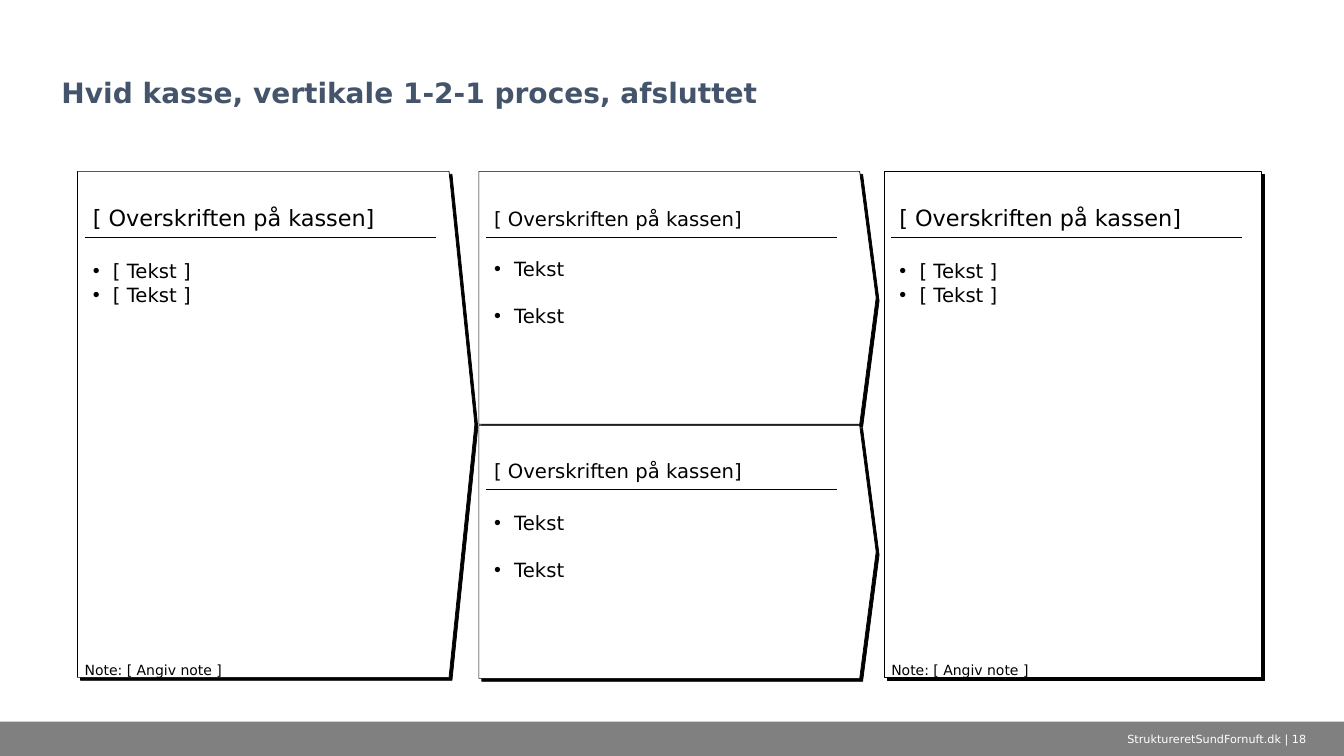
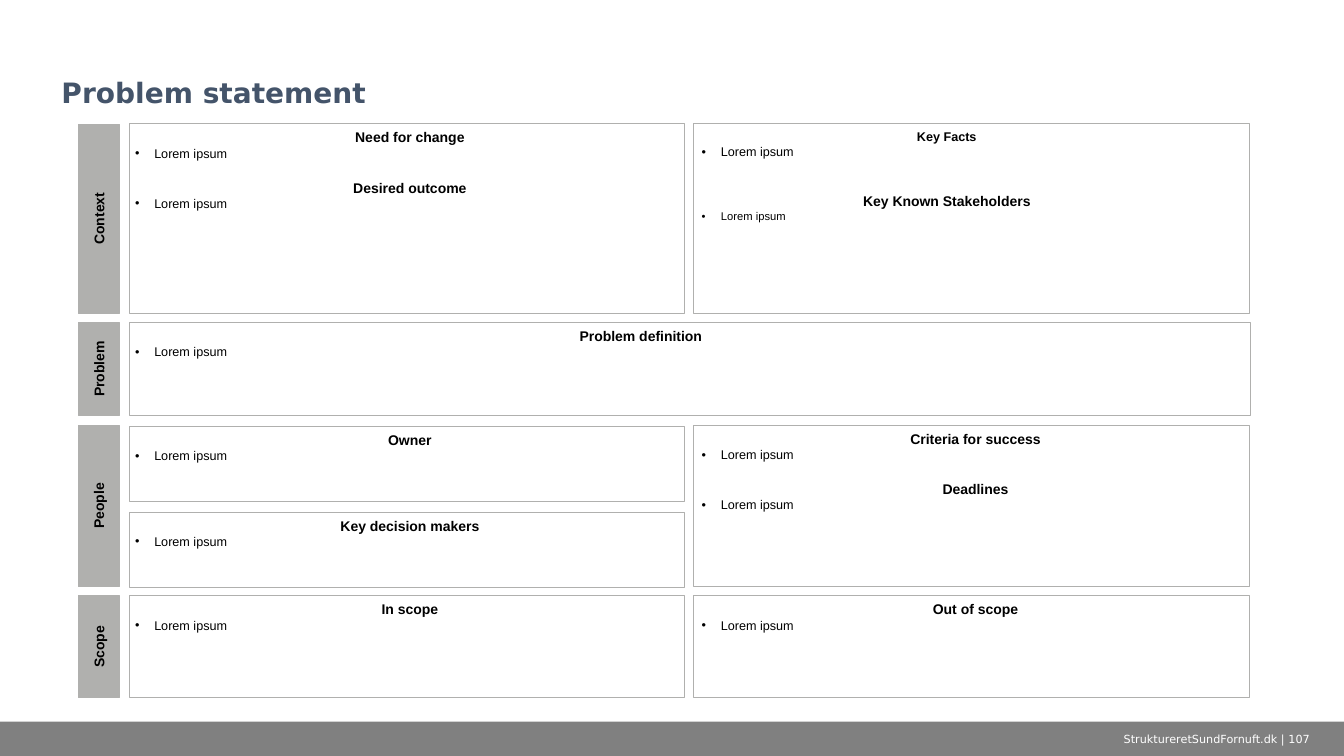
from lxml.etree import SubElement
from pptx import Presentation
from pptx.dml.color import RGBColor
from pptx.enum.shapes import MSO_CONNECTOR, MSO_SHAPE
from pptx.enum.text import MSO_ANCHOR, MSO_AUTO_SIZE, PP_ALIGN
from pptx.oxml.ns import qn
from pptx.util import Inches, Pt

# Shared colours and fonts
WHITE = RGBColor(0xFF, 0xFF, 0xFF)
BLACK = RGBColor(0x00, 0x00, 0x00)
TITLE_BLUE = RGBColor(0x44, 0x54, 0x6A)
BAND_GREY = RGBColor(0x80, 0x80, 0x80)
PANEL_GREY = RGBColor(0xB0, 0xB0, 0xAE)
MAIN_FONT = "DejaVu Sans"
PANEL_FONT = "Arial"

TITLE_ONLY = 5
FOOTER = "StruktureretSundFornuft.dk | "
HEADING = "[ Overskriften på kassen]"
NOTE = "Note: [ Angiv note ]"
TALL_ITEMS = ["[ Tekst ]", "[ Tekst ]"]
SHORT_ITEMS = ["Tekst", "Tekst"]
LOREM = "Lorem ipsum"

# Process boxes: left, top, width, height, point, rule top, text top, items, note
PROCESS_BOXES = [
    (8.77, 1.70, 3.74, 5.02, 0, 2.35, 2.51, TALL_ITEMS, NOTE),
    (4.75, 1.70, 3.94, 2.51, 0.065, 2.35, 2.49, SHORT_ITEMS, None),
    (4.75, 4.22, 3.94, 2.51, 0.065, 4.85, 5.01, SHORT_ITEMS, None),
    (0.77, 1.70, 3.94, 5.02, 0.065, 2.35, 2.51, TALL_ITEMS, NOTE),
]

# Problem statement grid
LEFT_COLUMN, RIGHT_COLUMN = 1.28, 6.88
COLUMN_WIDTH, FULL_WIDTH = 5.51, 11.12
ROWS = {
    "Context": (1.23, 1.88),
    "Problem": (3.20, 0.92),
    "People": (4.22, 1.60),
    "Scope": (5.91, 1.01),
}
HALF_HEIGHT, HALF_GAP = 0.75, 0.10


def style_runs(para, size, font, colour=BLACK, bold=False):
    for run in para.runs:
        run.font.size = Pt(size)
        run.font.name = font
        run.font.bold = bold
        run.font.color.rgb = colour


def add_bullet(para, indent):
    properties = para._p.get_or_add_pPr()
    properties.set("marL", str(Inches(indent)))
    properties.set("indent", str(-Inches(indent)))
    SubElement(properties, qn("a:buFont")).set("typeface", "Arial")
    SubElement(properties, qn("a:buChar")).set("char", "•")


def set_frame(frame, anchor, insets):
    frame.word_wrap = True
    frame.auto_size = MSO_AUTO_SIZE.NONE
    frame.vertical_anchor = anchor
    (frame.margin_left, frame.margin_top,
     frame.margin_right, frame.margin_bottom) = map(Inches, insets)


def add_text(page, area, text, size, colour=BLACK, anchor=MSO_ANCHOR.TOP,
             insets=(0.08, 0.06, 0.08, 0.06), align=PP_ALIGN.LEFT):
    """Add a text box; line breaks in the text make paragraphs."""
    box = page.shapes.add_textbox(*map(Inches, area))
    set_frame(box.text_frame, anchor, insets)
    box.text_frame.text = text
    for para in box.text_frame.paragraphs:
        para.alignment = align
        style_runs(para, size, MAIN_FONT, colour)
    return box


def add_box(page, kind, area, fill=None, line=None, line_width=0.75):
    box = page.shapes.add_shape(kind, *map(Inches, area))
    box.shadow.inherit = False
    if fill is None:
        box.fill.background()
    else:
        box.fill.solid()
        box.fill.fore_color.rgb = fill
    if line is None:
        box.line.fill.background()
    else:
        box.line.color.rgb = line
        box.line.width = Pt(line_width)
    return box


def add_hard_shadow(box):
    effects = box.element.spPr.find(qn("a:effectLst"))
    shadow = SubElement(effects, qn("a:outerShdw"), blurRad="0",
                        dist=str(Pt(3)), dir="2700000", algn="tl",
                        rotWithShape="0")
    SubElement(shadow, qn("a:srgbClr"), val=str(BLACK))


def add_rule(page, left, top, width):
    rule = page.shapes.add_connector(
        MSO_CONNECTOR.STRAIGHT, Inches(left), Inches(top),
        Inches(left + width), Inches(top))
    rule.line.color.rgb = BLACK
    rule.line.width = Pt(0.5)
    SubElement(rule.element.spPr, qn("a:effectLst"))


def add_page(deck, title, number):
    """Add a page with the shared title and footer."""
    page = deck.slides.add_slide(deck.slide_layouts[TITLE_ONLY])
    heading = page.shapes.title
    heading.left, heading.top = Inches(0.51), Inches(0.17)
    heading.width, heading.height = Inches(12.31), Inches(0.97)
    set_frame(heading.text_frame, MSO_ANCHOR.BOTTOM, (0.1, 0.05, 0.1, 0.05))
    heading.text_frame.text = title
    para = heading.text_frame.paragraphs[0]
    para.alignment = PP_ALIGN.LEFT
    para.line_spacing = 0.9
    style_runs(para, 20, MAIN_FONT, TITLE_BLUE, bold=True)
    add_text(page, (10.81, 7.16, 2.52, 0.34), f"{FOOTER}{number}", 8, WHITE,
             MSO_ANCHOR.MIDDLE, (0.1, 0.05, 0.1, 0.05), PP_ALIGN.CENTER)
    return page


def add_master_band(deck, page):
    """Draw the footer band and move it to the back of the slide master."""
    band = add_box(page, MSO_SHAPE.RECTANGLE, (0, 7.16, 13.33, 0.35), BAND_GREY)
    deck.slide_master.shapes.element.insert(2, band.element)


def add_process_box(page, left, top, width, height, point, rule_top, text_top,
                    items, note):
    box = add_box(page, MSO_SHAPE.PENTAGON, (left, top, width, height),
                  WHITE, BLACK, 0.5)
    box.adjustments[0] = point
    add_hard_shadow(box)

    inner_left, inner_width = left + 0.07, 3.48
    add_rule(page, inner_left, rule_top, inner_width)
    add_text(page, (inner_left, top, inner_width, rule_top - top), HEADING,
             16 if note else 14, anchor=MSO_ANCHOR.BOTTOM)

    bottom = top + height
    body = add_text(page, (inner_left, text_top, inner_width,
                           bottom - 0.17 - text_top), "\n".join(items), 14)
    for index, para in enumerate(body.text_frame.paragraphs):
        add_bullet(para, 0.2)
        if index and not note:
            para.space_before = Pt(17)
    if note:
        add_text(page, (inner_left, bottom - 0.16, 3.52, 0.17), note, 10,
                 insets=(0, 0, 0, 0))


def add_row_label(page, text, top, height):
    centre, thickness = 0.98, 0.41
    label = add_box(page, MSO_SHAPE.RECTANGLE,
                    (centre - height / 2, top + (height - thickness) / 2,
                     height, thickness), PANEL_GREY, PANEL_GREY)
    label.rotation = 270
    set_frame(label.text_frame, MSO_ANCHOR.TOP, (0.12, 0.12, 0.12, 0.12))
    label.text_frame.text = text
    para = label.text_frame.paragraphs[0]
    para.alignment = PP_ALIGN.CENTER
    style_runs(para, 10, PANEL_FONT, bold=True)


def add_panel(page, area, sections, right_inset=0, gap=13):
    """Add a framed panel; a section is heading, heading size, text size."""
    panel = add_box(page, MSO_SHAPE.RECTANGLE, area, line=PANEL_GREY)
    frame = panel.text_frame
    left_inset = 0.08 if area[0] == RIGHT_COLUMN else 0.06
    set_frame(frame, MSO_ANCHOR.TOP, (left_inset, 0.05, right_inset, 0))
    frame.text = "\n".join(f"{heading}\n{LOREM}" for heading, _, _ in sections)
    paras = frame.paragraphs
    for index, (_, heading_size, text_size) in enumerate(sections):
        heading, item = paras[2 * index:2 * index + 2]
        heading.alignment = PP_ALIGN.CENTER
        if index:
            heading.space_before = Pt(gap)
        style_runs(heading, heading_size, PANEL_FONT, bold=True)
        item.alignment = PP_ALIGN.LEFT
        add_bullet(item, 0.19)
        style_runs(item, text_size, PANEL_FONT)


def build_process(page):
    for box in PROCESS_BOXES:
        add_process_box(page, *box)


def build_problem_statement(page):
    for text, (top, height) in ROWS.items():
        add_row_label(page, text, top, height)

    def cell(row, left, width=COLUMN_WIDTH):
        top, height = ROWS[row]
        return left, top, width, height

    # Context and problem
    add_panel(page, cell("Context", LEFT_COLUMN),
              [("Need for change", 10, 9), ("Desired outcome", 10, 9)])
    add_panel(page, cell("Context", RIGHT_COLUMN),
              [("Key Facts", 9, 9), ("Key Known Stakeholders", 10, 8)],
              right_inset=0.57, gap=24)
    add_panel(page, cell("Problem", LEFT_COLUMN, FULL_WIDTH),
              [("Problem definition", 10, 9)], right_inset=1.03)

    # People: two half panels beside a full one
    for index, heading in enumerate(["Owner", "Key decision makers"]):
        top = ROWS["People"][0] + 0.01 + index * (HALF_HEIGHT + HALF_GAP)
        add_panel(page, (LEFT_COLUMN, top, COLUMN_WIDTH, HALF_HEIGHT),
                  [(heading, 10, 9)])
    add_panel(page, cell("People", RIGHT_COLUMN),
              [("Criteria for success", 10, 9), ("Deadlines", 10, 9)])

    # Scope
    add_panel(page, cell("Scope", LEFT_COLUMN), [("In scope", 10, 9)])
    add_panel(page, cell("Scope", RIGHT_COLUMN), [("Out of scope", 10, 9)])


def main():
    deck = Presentation()
    deck.slide_width, deck.slide_height = Inches(13.33), Inches(7.5)
    process = add_page(deck, "Hvid kasse, vertikale 1-2-1 proces, afsluttet", 18)
    add_master_band(deck, process)
    build_process(process)
    build_problem_statement(add_page(deck, "Problem statement", 107))
    deck.save("out.pptx")


if __name__ == "__main__":
    main()
